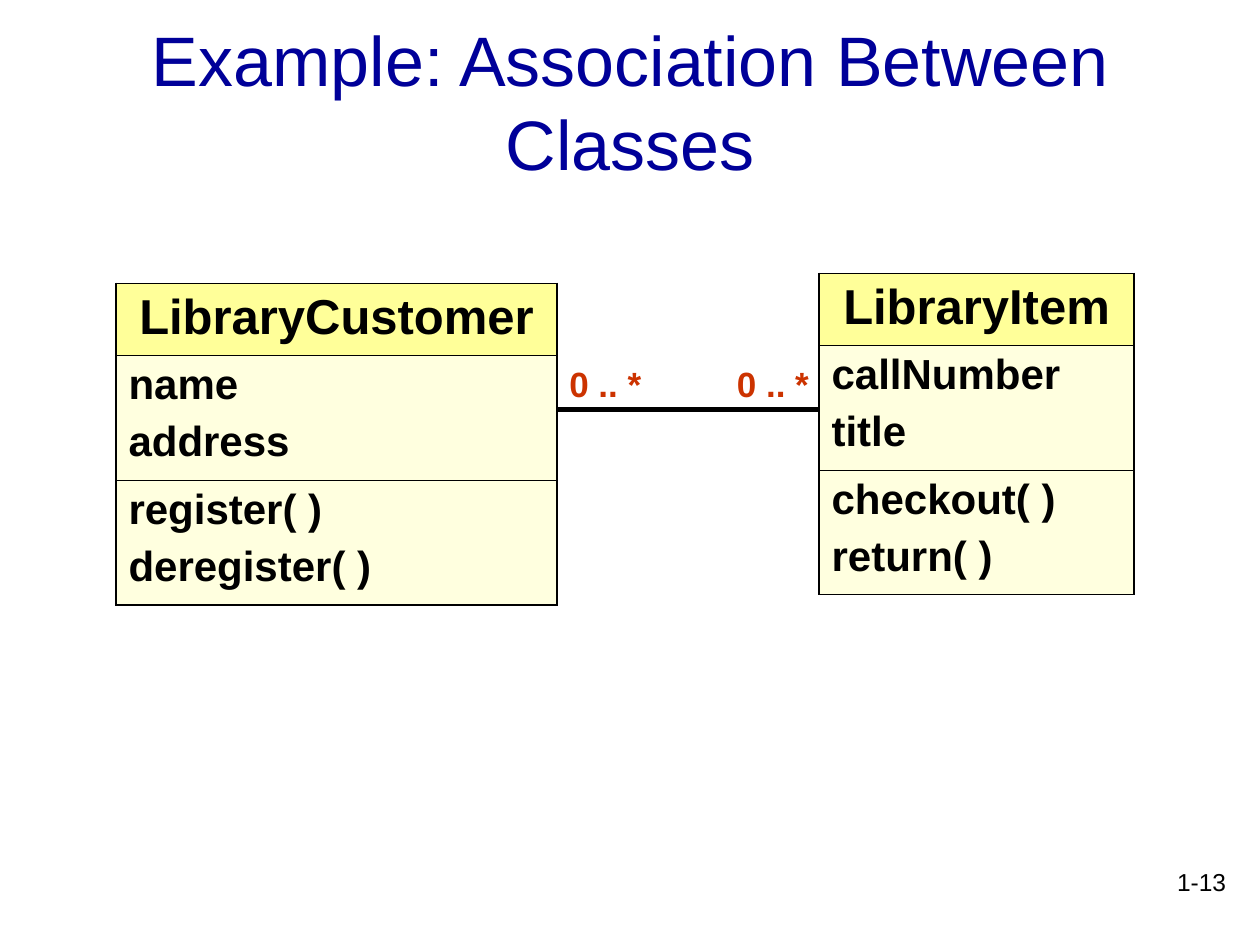
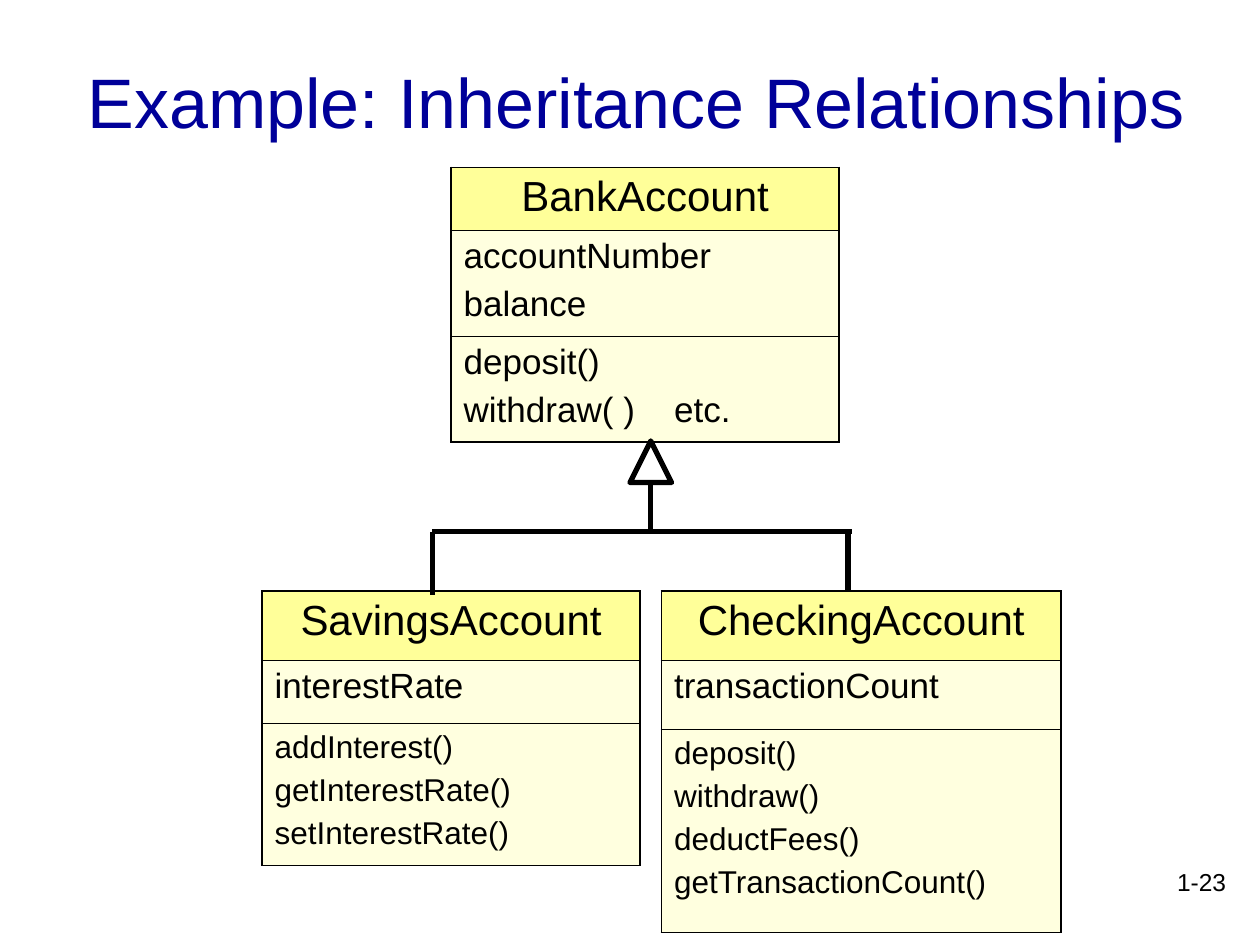
from lxml import etree
from pptx import Presentation
from pptx import util as u
from pptx.dml.color import RGBColor
from pptx.enum import shapes, text
from pptx.oxml import ns

NAVY = RGBColor(0x00, 0x00, 0x99)
BLACK = RGBColor(0x00, 0x00, 0x00)
RED = RGBColor(0xCC, 0x33, 0x00)
YELLOW = RGBColor(0xFF, 0xFF, 0x99)
CREAM = RGBColor(0xFF, 0xFF, 0xDF)
FONT = "Arial"
OUTER, INNER = 1.08, 0.45
LINE_WIDTH = 3


def add_run(p, words, size, color=BLACK, bold=False):
    r = p.add_run()
    r.text = words
    r.font.name = FONT
    r.font.size = u.Pt(size)
    r.font.bold = bold
    r.font.color.rgb = color


def add_title(s, words, left, width):
    sp = s.shapes.title
    sp.left, sp.top = u.Inches(left), u.Inches(0.17)
    sp.width, sp.height = u.Inches(width), u.Inches(1.25)
    tf = sp.text_frame
    tf.auto_size = text.MSO_AUTO_SIZE.NONE
    tf.vertical_anchor = text.MSO_ANCHOR.MIDDLE
    p = tf.paragraphs[0]
    p.alignment = text.PP_ALIGN.CENTER
    add_run(p, words, 40, NAVY)


def add_label(s, words, left, top, width, height, size,
              color=BLACK, bold=False, align=text.PP_ALIGN.LEFT):
    sp = s.shapes.add_textbox(u.Inches(left), u.Inches(top), u.Inches(width), u.Inches(height))
    tf = sp.text_frame
    tf.word_wrap = True
    p = tf.paragraphs[0]
    p.alignment = align
    add_run(p, words, size, color, bold)


def add_page_number(s, number):
    add_label(s, f"1-{number}", 7.75, 6.83, 2.08, 0.5, 14, align=text.PP_ALIGN.RIGHT)


def add_slide(prs, title, left, width, number):
    s = prs.slides.add_slide(prs.slide_layouts[5])
    add_title(s, title, left, width)
    add_page_number(s, number)
    return s


def set_borders(cell, top, bottom):
    tcPr = cell._tc.get_or_add_tcPr()
    for side, width in (("L", OUTER), ("R", OUTER), ("T", top), ("B", bottom)):
        ln = etree.SubElement(tcPr, ns.qn(f"a:ln{side}"), w=str(u.Pt(width)))
        fill = etree.SubElement(ln, ns.qn("a:solidFill"))
        etree.SubElement(fill, ns.qn("a:srgbClr"), val=str(BLACK))


def add_tab_stop(p, position):
    tabs = etree.SubElement(p._p.get_or_add_pPr(), ns.qn("a:tabLst"))
    etree.SubElement(tabs, ns.qn("a:tab"), pos=str(u.Inches(position)), algn="l")


def add_class_box(s, left, top, width, heights, sections, sizes, bold=False):
    frame = s.shapes.add_table(len(sections), 1, u.Inches(left), u.Inches(top),
                               u.Inches(width), u.Inches(sum(heights)))
    table = frame.table
    table.first_row = table.horz_banding = False
    last = len(sections) - 1
    for i, (lines, size, height) in enumerate(zip(sections, sizes, heights)):
        table.rows[i].height = u.Inches(height)
        cell = table.cell(i, 0)
        set_borders(cell, INNER if i else OUTER, INNER if i < last else OUTER)
        cell.fill.solid()
        cell.fill.fore_color.rgb = CREAM if i else YELLOW
        tf = cell.text_frame
        for j, line in enumerate(lines):
            p = tf.add_paragraph() if j else tf.paragraphs[0]
            p.alignment = text.PP_ALIGN.LEFT if i else text.PP_ALIGN.CENTER
            if "\t" in line:
                add_tab_stop(p, 1.67)
            if j:
                p.space_before = u.Pt(size / 4)
            add_run(p, line, size, bold=bold)


def add_line(s, x1, y1, x2, y2):
    c = s.shapes.add_connector(shapes.MSO_CONNECTOR.STRAIGHT, u.Inches(x1), u.Inches(y1),
                               u.Inches(x2), u.Inches(y2))
    c.line.color.rgb = BLACK
    c.line.width = u.Pt(LINE_WIDTH)
    etree.SubElement(c._element.spPr, ns.qn("a:effectLst"))


def add_inheritance_head(s, left, top, size):
    sp = s.shapes.add_shape(shapes.MSO_SHAPE.ISOSCELES_TRIANGLE, u.Inches(left), u.Inches(top),
                            u.Inches(size), u.Inches(size))
    sp.shadow.inherit = False
    sp.fill.background()
    sp.line.color.rgb = BLACK
    sp.line.width = u.Pt(LINE_WIDTH)


def add_association_slide(prs):
    s = add_slide(prs, "Example: Association Between Classes", 0.75, 8.5, 13)
    heights, sizes = (0.57, 0.99, 0.99), (28, 24, 24)
    add_class_box(s, 0.92, 2.25, 3.5, heights,
                  (["LibraryCustomer"], ["name", "address"], ["register( )", "deregister( )"]),
                  sizes, bold=True)
    add_class_box(s, 6.5, 2.17, 2.5, heights,
                  (["LibraryItem"], ["callNumber", "title"], ["checkout( )", "return( )"]),
                  sizes, bold=True)
    add_line(s, 4.42, 3.25, 6.5, 3.25)
    for left in (4.42, 5.75):
        add_label(s, "0 .. *", left, 2.83, 0.83, 0.44, 20, RED, True)


def add_inheritance_slide(prs):
    s = add_slide(prs, "Example: Inheritance Relationships", 0.42, 9.25, 23)
    add_class_box(s, 3.58, 1.33, 3.08, (0.5, 0.84, 0.84),
                  (["BankAccount"], ["accountNumber", "balance"],
                   ["deposit()", "withdraw( )\tetc."]),
                  (24, 20, 20))
    child_top, child_sizes = 4.69, (24, 20, 18)
    add_class_box(s, 2.08, child_top, 3, (0.55, 0.5, 1.13),
                  (["SavingsAccount"], ["interestRate"],
                   ["addInterest()", "getInterestRate()", "setInterestRate()"]),
                  child_sizes)
    add_class_box(s, 5.25, child_top, 3.17, (0.55, 0.55, 1.61),
                  (["CheckingAccount"], ["transactionCount"],
                   ["deposit()", "withdraw()", "deductFees()", "getTransactionCount()"]),
                  child_sizes)
    branch = 4.22
    add_line(s, 3.43, branch, 3.43, 4.72)
    add_line(s, 6.73, branch, 6.73, child_top)
    add_line(s, 3.43, branch, 6.76, branch)
    add_inheritance_head(s, 5, 3.5, 0.33)
    add_line(s, 5.16, 3.83, 5.16, branch)


def main():
    prs = Presentation()
    prs.slide_width, prs.slide_height = u.Inches(10), u.Inches(7.5)
    add_association_slide(prs)
    add_inheritance_slide(prs)
    prs.save("out.pptx")


if __name__ == "__main__":
    main()
